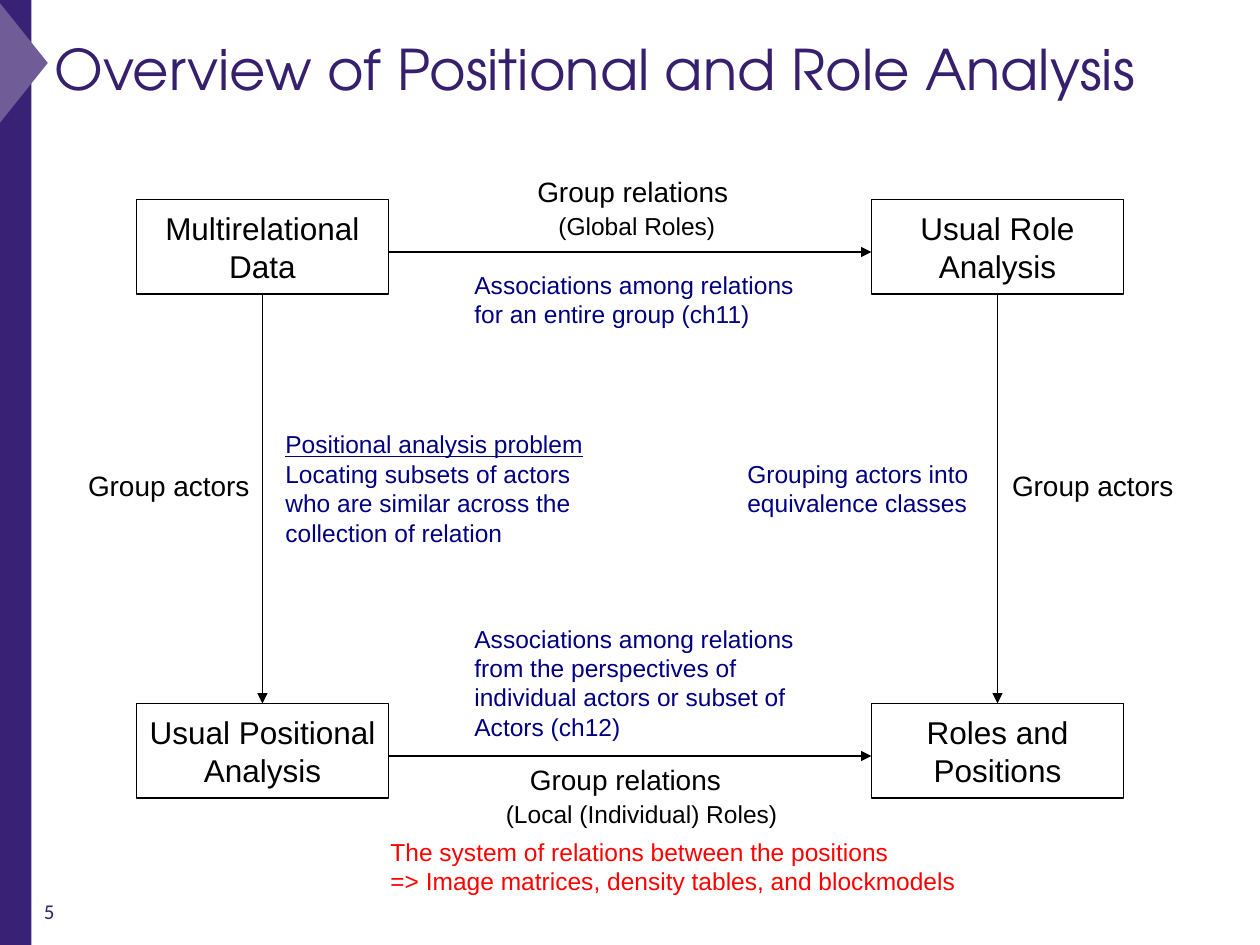
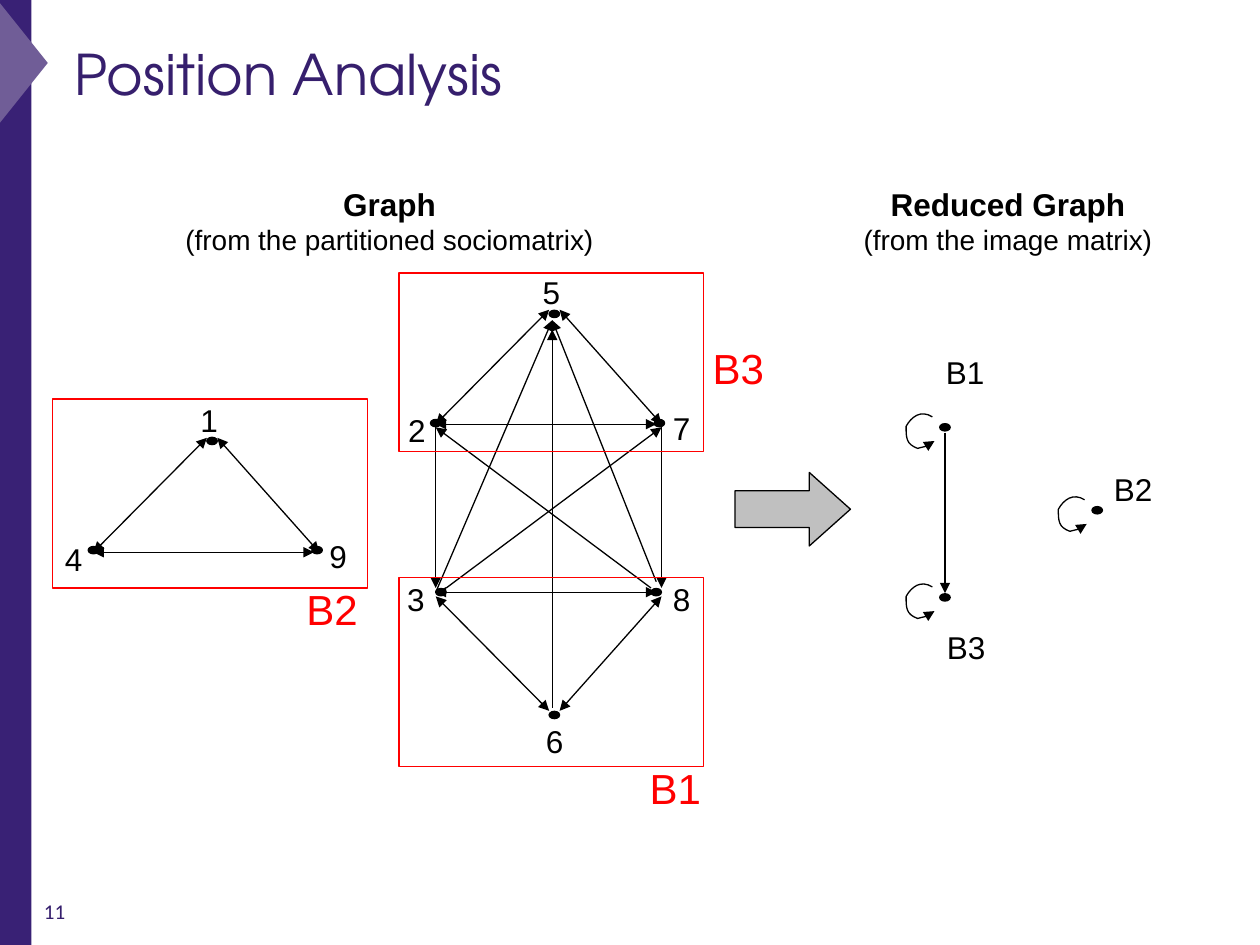
from pptx import Presentation
from pptx.dml.color import RGBColor
from pptx.enum.shapes import MSO_CONNECTOR as Connector, MSO_SHAPE as Shape
from pptx.enum.text import MSO_ANCHOR as Anchor, PP_ALIGN as Align
from pptx.oxml.ns import qn
from pptx.util import Inches, Pt
from lxml.etree import SubElement

COLUMNS, ROWS = 120, 90
CELL = Inches(10) // COLUMNS

BLACK = RGBColor(0x00, 0x00, 0x00)
NAVY = RGBColor(0x00, 0x00, 0x80)
RED = RGBColor(0xFF, 0x00, 0x00)
GREY = RGBColor(0xC0, 0xC0, 0xC0)
BAND = RGBColor(0x39, 0x21, 0x75)
POINTER = RGBColor(0x70, 0x5D, 0x97)
INK = RGBColor(0x36, 0x1F, 0x6D)

BODY_FONT, TITLE_FONT, NUMBER_FONT = "Arial", "TeX Gyre Adventor", "Calibri"
LINE_WIDTH = Pt(0.75)

LOOP_START = (-1.2, -1)
LOOP_CURVES = [
    [(-2.3, -1.7), (-3.2, -1), (-3.7, -0.1)],
    [(-3.7, 1), (-3.7, 1.6), (-2.6, 2)],
    [(-1.9, 1.8), (-1.4, 1.8), (-1, 1.3)],
]


def cells(*lengths):
    return [round(length * CELL) for length in lengths]


def write(shape, lines, size, color, font=BODY_FONT, align=Align.LEFT,
          anchor=Anchor.TOP, wrap=False):
    frame = shape.text_frame
    frame.word_wrap = wrap
    frame.vertical_anchor = anchor
    for index, line in enumerate(lines):
        text, style = line if isinstance(line, tuple) else (line, {})
        paragraph = frame.paragraphs[0] if index == 0 else frame.add_paragraph()
        paragraph.alignment = align
        run = paragraph.add_run()
        run.text = text
        run.font.name = font
        run.font.size = Pt(style.get("size", size))
        run.font.bold = style.get("bold", False)
        run.font.underline = style.get("underline", False)
        run.font.color.rgb = color


def add_text(slide, box, lines, size=14, color=BLACK, **options):
    write(slide.shapes.add_textbox(*cells(*box)), lines, size, color, **options)


def add_shape(slide, kind, box, fill=None, line=None):
    shape = slide.shapes.add_shape(kind, *cells(*box))
    style_shape(shape, fill, line)
    return shape


def style_shape(shape, fill, line):
    shape.shadow.inherit = False
    if fill is None:
        shape.fill.background()
    else:
        shape.fill.solid()
        shape.fill.fore_color.rgb = fill
    if line is None:
        shape.line.fill.background()
    else:
        shape.line.color.rgb = line
        shape.line.width = LINE_WIDTH


def add_arrowhead(shape, end):
    SubElement(shape.line._get_or_add_ln(), qn(f"a:{end}"), type="triangle")


def add_arrow(slide, start, finish, both=False):
    arrow = slide.shapes.add_connector(Connector.STRAIGHT, *cells(*start, *finish))
    arrow.line.color.rgb = BLACK
    arrow.line.width = LINE_WIDTH
    if both:
        add_arrowhead(arrow, "headEnd")
    add_arrowhead(arrow, "tailEnd")
    SubElement(arrow._element.spPr, qn("a:effectLst"))


def add_node(slide, x, y):
    add_shape(slide, Shape.OVAL, (x - 0.5, y - 0.35, 1, 0.7), BLACK, BLACK)


def curve_point(controls, t):
    weights = ((1 - t) ** 3, 3 * t * (1 - t) ** 2, 3 * t * t * (1 - t), t ** 3)
    return [sum(w * point[axis] for w, point in zip(weights, controls))
            for axis in (0, 1)]


def add_loop(slide, x, y, steps=8):
    points = [LOOP_START]
    for curve in LOOP_CURVES:
        controls = [points[-1], *curve]
        points += [curve_point(controls, step / steps) for step in range(1, steps + 1)]
    points = [cells(x + dx, y + dy) for dx, dy in points]
    builder = slide.shapes.build_freeform(*points[0], scale=1.0)
    builder.add_line_segments(points[1:], close=False)
    loop = builder.convert_to_shape()
    style_shape(loop, None, BLACK)
    add_arrowhead(loop, "tailEnd")


def add_triangle(slide, x, y):
    for start, finish in [((0, 0), (21, 0)), ((0, 0), (10.8, -10.9)),
                          ((21.5, 0), (11.8, -10.9))]:
        add_arrow(slide, (x + start[0], y + start[1]),
                  (x + finish[0], y + finish[1]), both=True)


def add_base(presentation, title, left, top, number):
    slide = presentation.slides.add_slide(presentation.slide_layouts[6])
    add_shape(slide, Shape.RECTANGLE, (-0.1, 0, 3.1, ROWS), BAND)
    pointer = add_shape(slide, Shape.ISOSCELES_TRIANGLE, (-3.85, 3.6, 12, 4.8), POINTER)
    pointer.rotation = 90
    add_text(slide, (left, top, 109.7, 12), [title], 32, INK,
             font=TITLE_FONT, anchor=Anchor.MIDDLE, wrap=True)
    add_text(slide, (3, 85, 28, 4.8), [number], 12, INK, font=NUMBER_FONT, wrap=True)
    return slide


def build_overview(presentation):
    slide = add_base(presentation, "Overview of Positional and Role Analysis",
                     4, 0.5, "5")
    left, right, top, bottom, width, height = 13, 83, 19, 67, 24, 9
    for x, y, lines in [
        (left, top, ["Multirelational", "Data"]),
        (right, top, ["Usual Role", "Analysis"]),
        (left, bottom, ["Usual Positional", "Analysis"]),
        (right, bottom, ["Roles and", "Positions"]),
    ]:
        box = add_shape(slide, Shape.RECTANGLE, (x, y, width, height), line=BLACK)
        write(box, lines, 18, BLACK, align=Align.CENTER, anchor=Anchor.MIDDLE)
    for y in (top, bottom):
        add_arrow(slide, (left + width, y + 5), (right, y + 5))
    for x in (left, right):
        add_arrow(slide, (x + width / 2, top + height), (x + width / 2, bottom))

    for x, y, label in [(50, 16, "Group relations"), (49.3, 72, "Group relations"),
                        (7.2, 44, "Group actors"), (95.2, 44, "Group actors")]:
        add_text(slide, (x, y, 20.6 if "relations" in label else 17.9, 4.4), [label], 16)

    for box, color, lines in [
        ((26, 41, 31, 11), NAVY, [("Positional analysis problem", {"underline": True}),
                                  "Locating subsets of actors",
                                  "who are similar across the",
                                  "collection of relation"]),
        ((70, 42, 24, 9), NAVY, ["Grouping actors into", "equivalence classes"]),
        ((52, 19, 18, 5), BLACK, ["(Global Roles)"]),
        ((47, 75, 29, 5), BLACK, ["(Local (Individual) Roles)"]),
        ((44, 25, 34, 7), NAVY, ["Associations among relations",
                                 "for an entire group (ch11)"]),
        ((44, 59, 34, 12), NAVY, ["Associations among relations",
                                  "from the perspectives of",
                                  "individual actors or subset of",
                                  "Actors (ch12)"]),
        ((36, 79, 64, 7), RED, ["The system of relations between the positions",
                                "=> Image matrices, density tables, and blockmodels"]),
    ]:
        add_text(slide, box, lines, color=color, anchor=Anchor.MIDDLE)


def build_graph(slide):
    one_way = [
        ((41.5, 40.7), (41.5, 56)), ((63, 40.7), (63, 56)),
        ((62, 56), (41.5, 40.7)), ((42.5, 56), (63, 40.7)),
        ((41.5, 56.4), (52.6, 30.5)), ((62.5, 55.4), (52.6, 30.5)),
        ((52.6, 67.4), (52.6, 31.4)),
    ]
    two_way = [((41.5, 56.8), (52.3, 67.7)), ((63, 56.8), (53.3, 67.7)),
               ((41.5, 56.4), (62.5, 56.4))]
    for start, finish in one_way:
        add_arrow(slide, start, finish)
    for start, finish in two_way:
        add_arrow(slide, start, finish, both=True)
    add_triangle(slide, 41.5, 40.4)
    add_triangle(slide, 8.9, 52.6)

    for label, node, corner in [
        ("1", (20.2, 42), (17.9, 37.6)), ("2", (41.5, 40.3), (37.7, 38.6)),
        ("3", (42, 56.4), (37.6, 54.7)), ("4", (8.9, 52.4), (5, 50.8)),
        ("5", (52.8, 29.9), (50.5, 25.4)), ("6", (52.8, 68.1), (50.8, 68.2)),
        ("7", (62.8, 40.3), (62.9, 38.4)), ("8", (62.5, 56.4), (62.9, 54.7)),
        ("9", (30.2, 52.4), (30.2, 50.6)),
    ]:
        add_node(slide, *node)
        add_text(slide, (*corner, 4.1, 4.8), [label], 18)

    for label, block, corner in [
        ("B1", (38, 55, 29, 18), (60.7, 72)),
        ("B2", (5, 38, 30, 18), (28, 55)),
        ("B3", (38, 26, 29, 17), (66.7, 32)),
    ]:
        add_shape(slide, Shape.RECTANGLE, block, line=RED)
        add_text(slide, (*corner, 7.3, 6), [label], 24, RED)


def build_reduced_graph(slide):
    add_arrow(slide, (90, 41.2), (90, 56.5))
    for label, node, corner in [
        ("B1", (90, 40.7), (88.9, 33)),
        ("B2", (104.5, 48.6), (104.9, 44.2)),
        ("B3", (90, 56.9), (89, 59.2)),
    ]:
        add_node(slide, *node)
        add_loop(slide, *node)
        add_text(slide, (*corner, 6.1, 4.8), [label], 18)


def build_position_analysis(presentation):
    slide = add_base(presentation, "Position Analysis", 5.9, 1, "11")
    build_graph(slide)
    build_reduced_graph(slide)
    arrow = add_shape(slide, Shape.RIGHT_ARROW, (70, 45, 11, 7), GREY, BLACK)
    arrow.adjustments[1] = 0.56
    for box, heading, source in [
        ((16.4, 17, 41.4, 8), "Graph", "(from the partitioned sociomatrix)"),
        ((81, 17, 30, 8), "Reduced Graph", "(from the image matrix)"),
    ]:
        add_text(slide, box, [(heading, {"size": 18, "bold": True}), source], 16,
                 align=Align.CENTER)


def main():
    presentation = Presentation()
    presentation.slide_width, presentation.slide_height = cells(COLUMNS, ROWS)
    build_overview(presentation)
    build_position_analysis(presentation)
    presentation.save("out.pptx")


if __name__ == "__main__":
    main()
